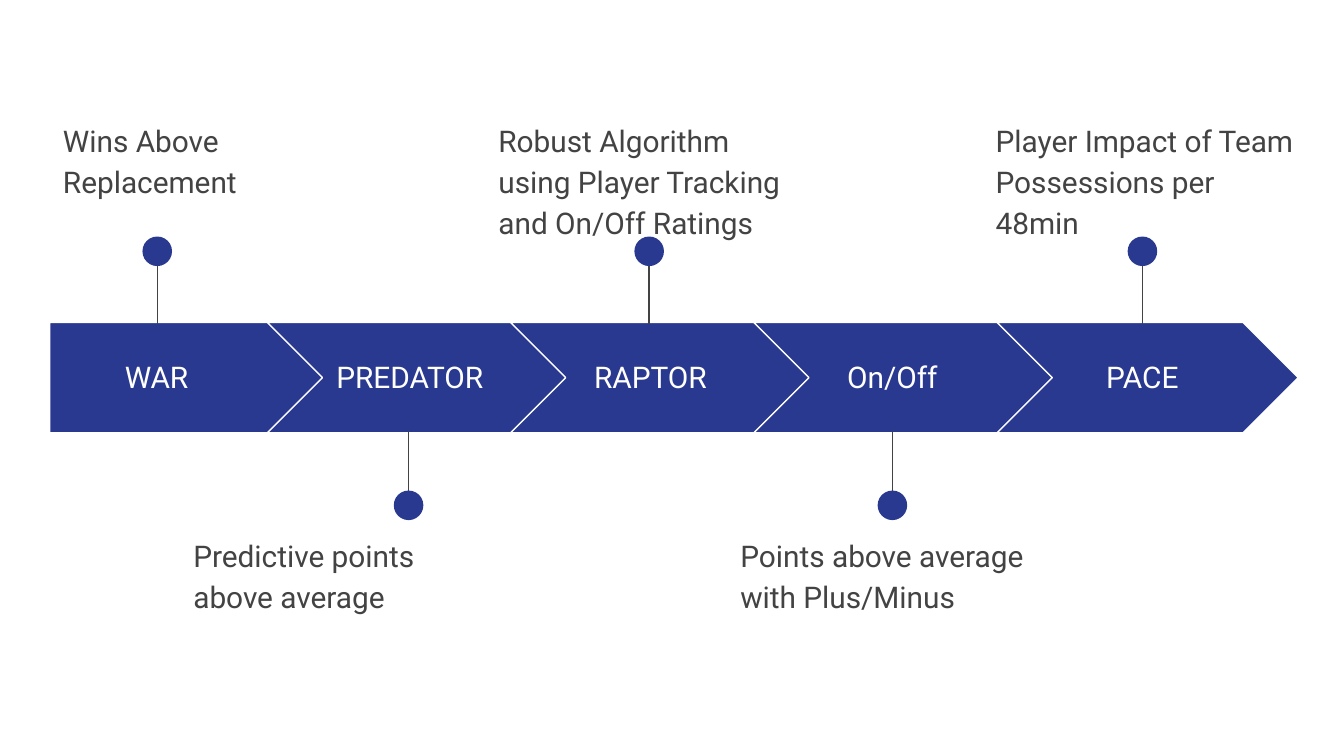
from lxml import etree
from pptx import Presentation
from pptx.dml.color import RGBColor
from pptx.enum.shapes import MSO_CONNECTOR, MSO_SHAPE
from pptx.enum.text import MSO_ANCHOR, PP_ALIGN
from pptx.oxml.ns import qn
from pptx.util import Inches, Pt

LINE = MSO_CONNECTOR.STRAIGHT
OVAL, FIRST, NEXT = MSO_SHAPE.OVAL, MSO_SHAPE.PENTAGON, MSO_SHAPE.CHEVRON
TOP, MIDDLE = MSO_ANCHOR.TOP, MSO_ANCHOR.MIDDLE
LEFT, CENTER = PP_ALIGN.LEFT, PP_ALIGN.CENTER

COLORS = {"blue": "2A3990", "gray": "434343", "white": "FFFFFF"}
FONT, SIZE = "Roboto", 16

# label, caption, label left, label width, pin center, caption left
STEPS = [
    ("WAR", "Wins Above Replacement", 0.37, 1.59, 1.17, 0.37),
    ("PREDATOR", "Predictive points above average", 2.33, 1.44, 3.04, 1.34),
    ("RAPTOR", "Robust Algorithm using Player Tracking and On/Off Ratings",
     4.12, 1.44, 4.83, 3.61),
    ("On/Off", "Points above average with Plus/Minus", 5.92, 1.44, 6.64, 5.41),
    ("PACE", "Player Impact of Team Possessions per 48min",
     7.78, 1.44, 8.5, 7.31),
]
BAND_TOP, BAND_HIGH = 2.4, 0.82
START, PITCH = 0.37, 1.81
FIRST_WIDE, NEXT_WIDE, NEXT_LEFT = 2.05, 2.24, 1.99
DOT = 0.22
# pin start, pin end, dot top, caption top
ABOVE = (1.8, 2.41, 1.76, 0.77)
BELOW = (3.82, 3.21, 3.65, 3.86)


def color(name):
    return RGBColor.from_string(COLORS[name])


def add_text(slide, text, box, tint="gray", align=LEFT, anchor=TOP,
             spacing=None, after=None):
    frame = slide.shapes.add_textbox(*map(Inches, box)).text_frame
    frame.word_wrap = True
    frame.vertical_anchor = anchor
    frame.margin_left = frame.margin_right = Inches(0.1)
    frame.margin_top = frame.margin_bottom = Inches(0.1)
    para = frame.paragraphs[0]
    para.alignment = align
    para.line_spacing = spacing
    if after:
        para.space_after = Pt(after)
    run = para.add_run()
    run.text = text
    run.font.name, run.font.size = FONT, Pt(SIZE)
    run.font.color.rgb = color(tint)


def add_shape(shapes, kind, box, edge=None):
    shape = shapes.add_shape(kind, *map(Inches, box))
    shape.shadow.inherit = False
    shape.fill.solid()
    shape.fill.fore_color.rgb = color("blue")
    if edge:
        shape.line.color.rgb = color(edge)
        shape.line.width = Pt(0.75)
    else:
        shape.line.fill.background()
    return shape


def add_pin(slide, x, start, end, dot_top):
    """Group a stem with the dot at its free end."""
    shapes = slide.shapes.add_group_shape().shapes
    stem = shapes.add_connector(LINE, *map(Inches, (x, start, x, end)))
    stem.line.color.rgb = color("gray")
    stem.line.width = Pt(0.75)
    etree.SubElement(stem._element.spPr, qn("a:effectLst"))
    add_shape(shapes, OVAL, (x - DOT / 2, dot_top, DOT, DOT))


def add_step(slide, index, step):
    label, caption, left, wide, x, note_left = step
    if index == 0:
        kind, band_left, band_wide = FIRST, START, FIRST_WIDE
    else:
        kind, band_wide = NEXT, NEXT_WIDE
        band_left = NEXT_LEFT + (index - 1) * PITCH
    band = add_shape(slide.shapes, kind,
                     (band_left, BAND_TOP, band_wide, BAND_HIGH), edge="white")
    band.adjustments[0] = 0.5
    add_text(slide, label, (left, 2.55, wide, 0.51), tint="white",
             align=CENTER, anchor=MIDDLE)
    start, end, dot_top, note_top = BELOW if index % 2 else ABOVE
    add_pin(slide, x, start, end, dot_top)
    add_text(slide, caption, (note_left, note_top, 2.45, 0.99),
             spacing=1.15, after=16)


def main():
    deck = Presentation()
    deck.slide_width = Inches(10)
    deck.slide_height = deck.slide_width * 9 // 16
    slide = deck.slides.add_slide(deck.slide_layouts[6])
    for index, step in enumerate(STEPS):
        add_step(slide, index, step)
    deck.save("out.pptx")


if __name__ == "__main__":
    main()
